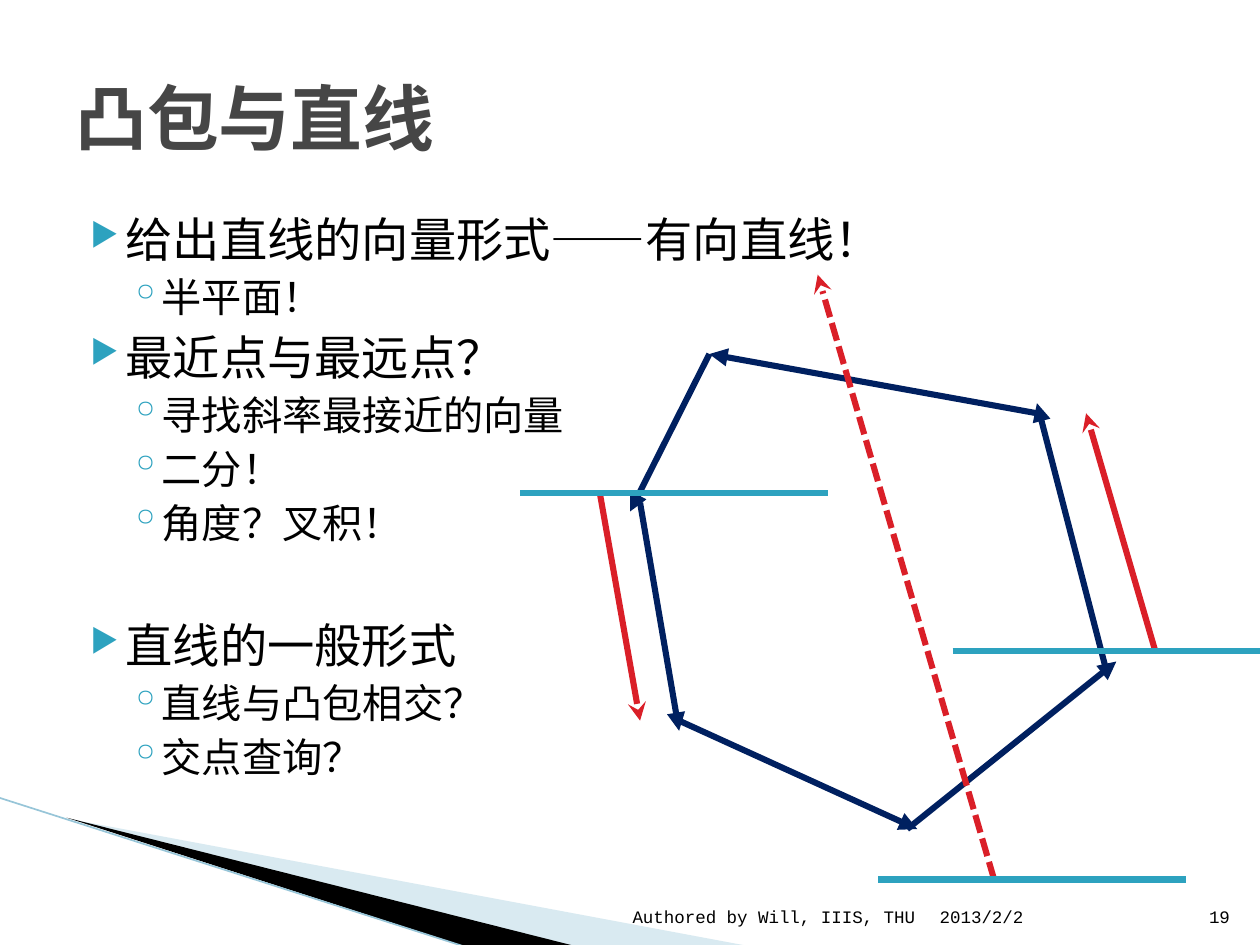
"""Build the slide on convex hulls and directed lines."""
import pptx
import pptx.dml.color
import pptx.enum.dml
import pptx.enum.shapes
import pptx.enum.text
import pptx.oxml
import pptx.oxml.ns
import pptx.util

Inches = pptx.util.Inches
Pt = pptx.util.Pt
ALIGN = pptx.enum.text.PP_ALIGN
ANCHOR = pptx.enum.text.MSO_ANCHOR
FONT = "Courier New"
COLORS = {"title": "464646", "text": "000000", "hull": "002060", "vector": "DA1F28",
          "accent": "2DA2BF", "pale": "A0CBDC", "edge": "97C5D8"}
LEVELS = [
    {"left": 0.4, "hang": 0.28, "before": 4, "char": "▶", "scale": 68, "size": 27},
    {"left": 0.68, "hang": 0.25, "before": 3.2, "char": "◦", "scale": 100, "size": 23},
]
OUTLINE = [
    (0, "给出直线的向量形式——有向直线！"),
    (1, "半平面！"),
    (0, "最近点与最远点？"),
    (1, "寻找斜率最接近的向量"),
    (1, "二分！"),
    (1, "角度？叉积！"),
    (0, "直线的一般形式"),
    (1, "直线与凸包相交？"),
    (1, "交点查询？"),
]
SECTION_START, SECTION_GAP = 6, 40
HULL_EDGES = [
    ((5.63, 2.81), (5, 4.06)),
    ((5.08, 3.99), (5.39, 5.8)),
    ((5.39, 5.72), (7.28, 6.58)),
    ((7.2, 6.58), (8.86, 5.25)),
    ((8.78, 5.32), (8.23, 3.2)),
    ((8.23, 3.28), (5.63, 2.81)),
]
VECTORS = [
    ((4.76, 3.91), (5.08, 5.72), False),
    ((9.17, 5.17), (8.62, 3.28), False),
    ((7.89, 6.98), (6.49, 2.18), True),
]
BASE_LINES = [(6.97, 6.98), (7.56, 5.17), (4.13, 3.91)]
BASE_LENGTH = 2.44


def rgb(name):
    return pptx.dml.color.RGBColor.from_string(COLORS[name])


def add_xml(parent, tag, **attrs):
    el = pptx.oxml.parse_xml(f'<a:{tag} {pptx.oxml.ns.nsdecls("a")}/>')
    for key, value in attrs.items():
        el.set(key, str(value))
    parent.append(el)
    return el


def add_run(p, text, size, color="text", bold=False):
    r = p.add_run()
    r.text = text
    r.font.name = FONT
    r.font.size = Pt(size)
    r.font.bold = bold
    r.font.color.rgb = rgb(color)


def add_frame(s, box, anchor):
    tf = s.shapes.add_textbox(*map(Inches, box)).text_frame
    tf.word_wrap = True
    tf.vertical_anchor = anchor
    return tf


def add_label(s, box, text, size=10, align=ALIGN.LEFT, anchor=ANCHOR.BOTTOM,
              color="text", bold=False):
    p = add_frame(s, box, anchor).paragraphs[0]
    p.alignment = align
    add_run(p, text, size, color, bold)


def add_bullet(p, level):
    pPr = p._p.get_or_add_pPr()
    pPr.set("marL", str(Inches(level["left"])))
    pPr.set("indent", str(-Inches(level["hang"])))
    add_xml(add_xml(pPr, "buClr"), "srgbClr", val=COLORS["accent"])
    add_xml(pPr, "buSzPct", val=level["scale"] * 1000)
    add_xml(pPr, "buChar", char=level["char"])


def add_outline(s, box):
    tf = add_frame(s, box, ANCHOR.TOP)
    for i, (depth, text) in enumerate(OUTLINE):
        level = LEVELS[depth]
        p = tf.add_paragraph() if i else tf.paragraphs[0]
        p.level = depth
        add_bullet(p, level)
        if i:
            p.space_before = Pt(SECTION_GAP if i == SECTION_START else level["before"])
        add_run(p, text, level["size"])


def add_line(s, start, end, color, width=3.5, head=None, dashed=False):
    line = s.shapes.add_connector(pptx.enum.shapes.MSO_CONNECTOR.STRAIGHT,
                                  *map(Inches, start + end))
    line.line.color.rgb = rgb(color)
    line.line.width = Pt(width)
    if dashed:
        line.line.dash_style = pptx.enum.dml.MSO_LINE.SQUARE_DOT
    if head:
        add_xml(line.line._get_or_add_ln(), "tailEnd", type=head)
    add_xml(line._element.spPr, "effectLst")


def add_wedge(s, points, color, opacity=100):
    pts = [(Inches(x), Inches(y)) for x, y in points]
    builder = s.shapes.build_freeform(*pts[0])
    builder.add_line_segments(pts[1:], close=True)
    sp = builder.convert_to_shape()
    sp.shadow.inherit = False
    sp.fill.solid()
    sp.fill.fore_color.rgb = rgb(color)
    sp.line.fill.background()
    if opacity < 100:
        clr = sp._element.spPr.find(".//" + pptx.oxml.ns.qn("a:srgbClr"))
        add_xml(clr, "alpha", val=opacity * 1000)


def add_corner(s):
    add_wedge(s, [(0.55, 6.5), (5.95, 7.51), (4.56, 7.51)], "pale", 40)
    add_wedge(s, [(0.53, 6.49), (4.57, 7.51), (3.72, 7.52)], "text")
    add_line(s, (-0.01, 6.33), (3.71, 7.52), "edge", 0.95)


def add_diagram(s):
    for start, end in HULL_EDGES:
        add_line(s, start, end, "hull", head="triangle")
    for start, end, dashed in VECTORS:
        add_line(s, start, end, "vector", head="stealth", dashed=dashed)
    for x, y in BASE_LINES:
        add_line(s, (x, y), (x + BASE_LENGTH, y), "accent")


def main():
    prs = pptx.Presentation()
    prs.slide_width, prs.slide_height = Inches(10), Inches(7.5)
    s = prs.slides.add_slide(prs.slide_layouts[6])
    add_corner(s)
    add_outline(s, (0.5, 1.62, 9, 4.95))
    add_label(s, (0.5, 0.3, 9, 1.25), "凸包与直线", 41, anchor=ANCHOR.MIDDLE,
              color="title", bold=True)
    add_diagram(s)
    add_label(s, (7.36, 7.01, 2.1, 0.4), "2013/2/2")
    add_label(s, (4.79, 7.01, 2.57, 0.4), "Authored by Will, IIIS, THU", align=ALIGN.RIGHT)
    add_label(s, (9.46, 7.01, 0.4, 0.4), "19", align=ALIGN.RIGHT)
    prs.save("out.pptx")


if __name__ == "__main__":
    main()
